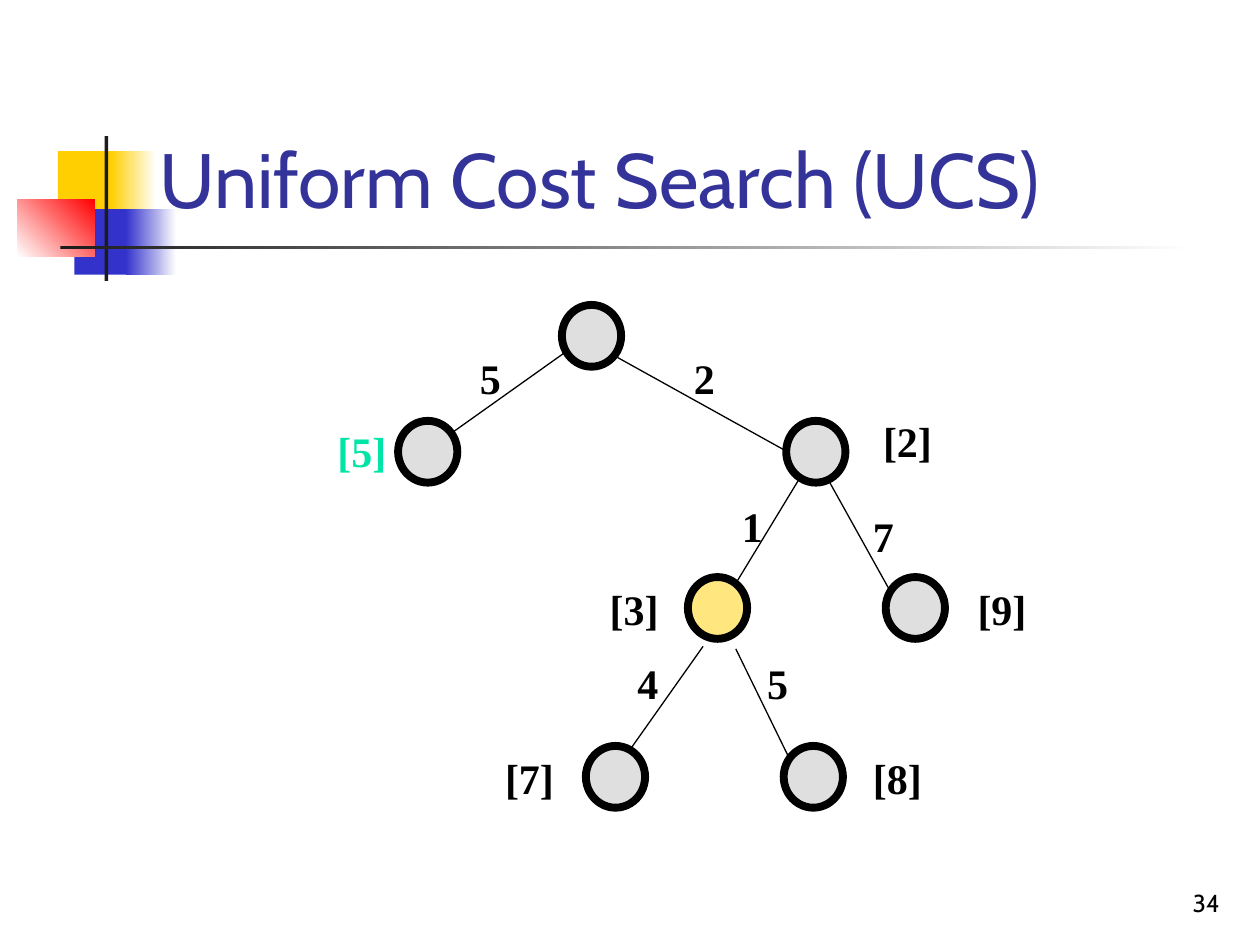
from lxml import etree
from pptx import Presentation
from pptx.dml.color import RGBColor
from pptx.enum.shapes import MSO_CONNECTOR, MSO_SHAPE
from pptx.enum.text import MSO_ANCHOR, PP_ALIGN
from pptx.oxml.ns import qn
from pptx.util import Inches, Pt

RECTANGLE, OVAL = MSO_SHAPE.RECTANGLE, MSO_SHAPE.OVAL
STRAIGHT = MSO_CONNECTOR.STRAIGHT
BOTTOM, TOP = MSO_ANCHOR.BOTTOM, MSO_ANCHOR.TOP
LEFT, RIGHT = PP_ALIGN.LEFT, PP_ALIGN.RIGHT

BLACK = RGBColor(0x00, 0x00, 0x00)
WHITE = RGBColor(0xFF, 0xFF, 0xFF)
CHARCOAL = RGBColor(0x1C, 0x1C, 0x1C)
YELLOW = RGBColor(0xFF, 0xCF, 0x01)
BLUE = RGBColor(0x33, 0x33, 0xCC)
RED = RGBColor(0xFF, 0x00, 0x00)
NAVY = RGBColor(0x33, 0x33, 0x99)
GRAY = RGBColor(0xC0, 0xC0, 0xC0)
MINT = RGBColor(0x00, 0xE4, 0xA8)

deck = Presentation()
deck.slide_width, deck.slide_height = Inches(10), Inches(7.5)
page = deck.slides.add_slide(deck.slide_layouts[6])


def add_solid(kind, left, top, width, height):
    """Add a preset shape without shadow or outline."""
    shape = page.shapes.add_shape(
        kind, Inches(left), Inches(top), Inches(width), Inches(height))
    shape.shadow.inherit = False
    shape.line.fill.background()
    return shape


def add_label(words, left, top, width, height, color, size=24,
              face="Times New Roman", bold=True, wrap=False,
              anchor=TOP, align=LEFT):
    box = page.shapes.add_textbox(
        Inches(left), Inches(top), Inches(width), Inches(height))
    frame = box.text_frame
    frame.word_wrap = wrap
    frame.vertical_anchor = anchor
    para = frame.paragraphs[0]
    para.alignment = align
    span = para.add_run()
    span.text = words
    span.font.color.rgb = color
    for name, value in {"size": Pt(size), "name": face, "bold": bold}.items():
        setattr(span.font, name, value)


# Corner ornament and title rule: place, start colour, end colour, angle
ornament = [
    ((0.46, 1.2, 0.48, 0.52), YELLOW, None, 0),
    ((0.88, 1.2, 0.36, 0.52), YELLOW, WHITE, 0),
    ((0.59, 1.66, 0.46, 0.52), BLUE, None, 0),
    ((1.0, 1.66, 0.4, 0.52), BLUE, WHITE, 0),
    ((0.14, 1.58, 0.61, 0.46), WHITE, RED, 45),
    ((0.83, 1.08, 0.03, 1.15), CHARCOAL, None, 0),
    ((0.48, 1.95, 9, 0.03), CHARCOAL, WHITE, 0),
]
for place, start, end, angle in ornament:
    fill = add_solid(RECTANGLE, *place).fill
    if end is None:
        fill.solid()
        fill.fore_color.rgb = start
    else:
        fill.gradient()
        fill.gradient_angle = angle
        for stop, color in zip(fill.gradient_stops, (start, end)):
            stop.color.rgb = color

add_label("34", 7.7, 6.83, 2.08, 0.5, BLACK, size=14, face="Cabin",
          bold=False, wrap=True, anchor=BOTTOM, align=RIGHT)
add_label("Uniform Cost Search (UCS)", 1.17, 0.58, 8.5, 1.25, NAVY, size=44,
          face="Cabin", bold=False, wrap=True, anchor=BOTTOM)

# Search tree: the top of each level, then its nodes
NODE_WIDTH, NODE_HEIGHT = 0.47, 0.49
levels = [
    (2.42, [(4.46, GRAY)]),
    (3.34, [(3.16, GRAY), (6.24, GRAY)]),
    (4.58, [(7.03, GRAY), (5.46, YELLOW)]),
    (5.92, [(6.22, GRAY), (4.65, GRAY)]),
]
for top, nodes in levels:
    for left, color in nodes:
        node = add_solid(OVAL, left, top, NODE_WIDTH, NODE_HEIGHT)
        node.fill.solid()
        node.fill.fore_color.rgb = color
        tint = node.fill._xPr.find(".//" + qn("a:srgbClr"))
        etree.SubElement(tint, qn("a:alpha"), val="50000")
        node.line.color.rgb = BLACK
        node.line.width = Pt(4.5)

# Edges: start, end, step cost and the corner of its label
edges = [
    ((4.48, 2.8), (3.58, 3.44), "5", (3.71, 2.75)),
    ((4.87, 2.82), (6.24, 3.58), "2", (5.41, 2.75)),
    ((6.35, 3.79), (5.84, 4.63), "1", (5.79, 3.92)),
    ((6.58, 3.82), (7.07, 4.7), "7", (6.83, 4.0)),
    ((5.58, 5.13), (5.0, 5.95), "4", (4.96, 5.17)),
    ((5.84, 5.15), (6.26, 6.01), "5", (5.99, 5.17)),
]
for start, end, cost, corner in edges:
    edge = page.shapes.add_connector(
        STRAIGHT, *(Inches(value) for value in start + end))
    edge.line.color.rgb = BLACK
    edge.line.width = Pt(0.75)
    etree.SubElement(edge._element.spPr, qn("a:effectLst"))
    add_label(cost, *corner, 0.37, 0.5, BLACK)

# Total path cost beside each node
totals = [
    ("[5]", 2.58, 3.33, MINT),
    ("[2]", 6.91, 3.25, BLACK),
    ("[9]", 7.66, 4.58, BLACK),
    ("[3]", 4.74, 4.58, BLACK),
    ("[7]", 3.91, 5.92, BLACK),
    ("[8]", 6.83, 5.92, BLACK),
]
for total, left, top, color in totals:
    add_label(total, left, top, 0.59, 0.5, color)

deck.save("out.pptx")
